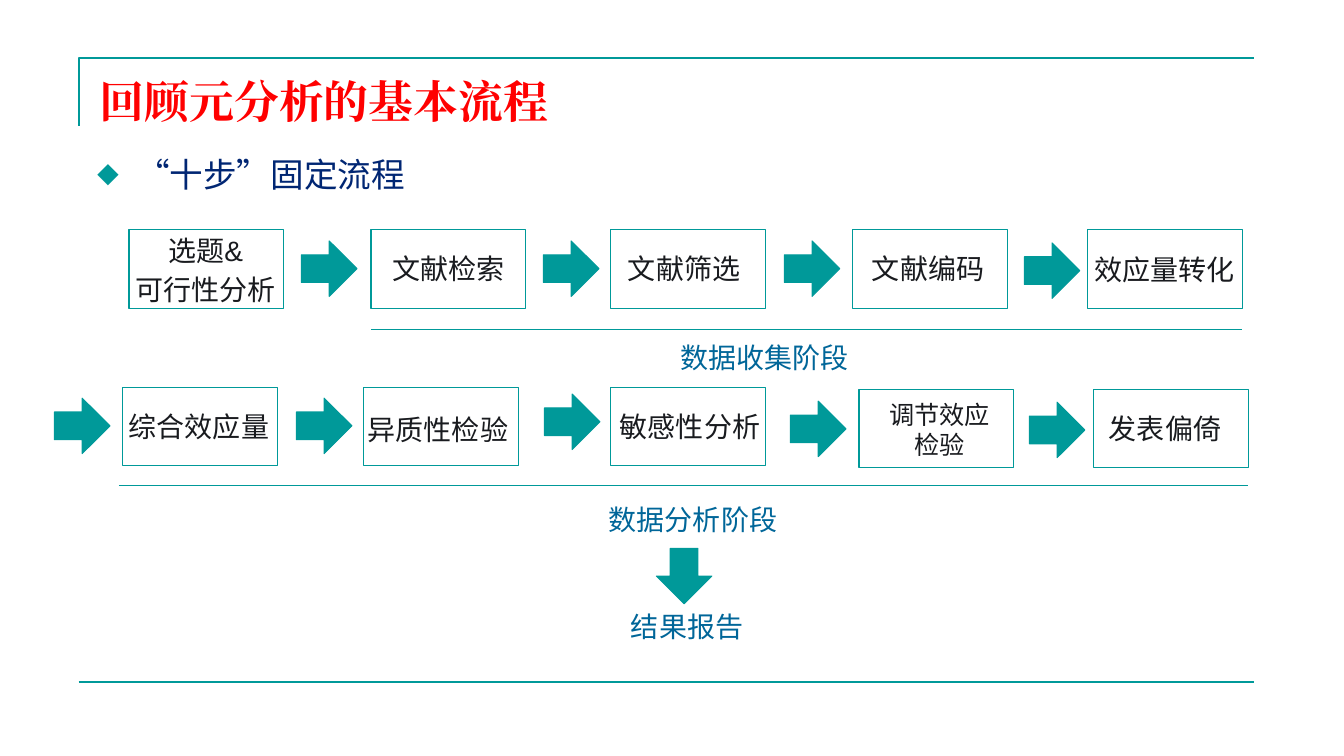
from dataclasses import dataclass

from lxml import etree
from pptx import Presentation
from pptx.dml.color import RGBColor
from pptx.enum.lang import MSO_LANGUAGE_ID as Lang
from pptx.enum.shapes import MSO_CONNECTOR as Conn, MSO_SHAPE as Geo
from pptx.enum.text import MSO_ANCHOR as Anchor, MSO_AUTO_SIZE as Fit, PP_ALIGN as Align
from pptx.oxml.ns import qn
from pptx.util import Pt

PX = 9144  # 100 px to the inch
BOX_W, BOX_H, ARROW = 153, 78, 55


@dataclass(frozen=True)
class Theme:
    teal: str = "009999"
    red: str = "FF0000"
    navy: str = "002673"
    blue: str = "006699"
    ink: str = "191B1F"
    serif: str = "Times New Roman"
    sans: str = "Arial"
    stage: str = "Vollkorn"
    cjk: str = "Noto Sans CJK SC"
    title: int = 32
    lead: int = 24
    step: int = 20
    small: int = 18
    rule: float = 1.5
    thin: float = 0.75


T = Theme()

# Each step: text, box (left, top), label (left, top, width, height)
COLLECTION = [
    ("选题&\n可行性分析", (128, 228), (124, 227, 160, 84)),
    ("文献检索", (368, 228), (379, 245, 135, 44)),
    ("文献筛选", (606, 228), (613, 245, 132, 44)),
    ("文献编码", (846, 228), (855, 245, 132, 44)),
    ("效应量转化", (1079, 228), (1076, 246, 160, 44)),
]
ANALYSIS = [
    ("综合效应量", (122, 384), (118, 401, 160, 44)),
    ("异质性检验", (361, 384), (355, 404, 160, 44)),
    ("敏感性分析", (606, 384), (605, 401, 166, 44)),
    ("调节效应检验", (852, 386), (860, 391, 144, 71)),
    ("发表偏倚", (1085, 386), (1090, 403, 132, 44)),
]
ARROWS = [
    (299, 239), (539, 239), (778, 239), (1016, 241),
    (54, 395), (294, 395), (540, 391), (784, 398), (1021, 399),
]
STAGES = [
    ("数据收集阶段", (665, 333, 188, 44)),
    ("数据分析阶段", (594, 494, 188, 44)),
    ("结果报告", (616, 600, 132, 44)),
]


def px(*values):
    return [v * PX for v in values]


def rgb(color):
    return RGBColor.from_string(color)


def write(tf, text, size, color, font, east=None, bold=False, align=Align.LEFT):
    """Fill a text frame, one paragraph for each line of text."""
    for i, line in enumerate(text.split("\n")):
        p = tf.paragraphs[0] if i == 0 else tf.add_paragraph()
        p.alignment = align
        p.space_before = Pt(size * 0.2 if i else 0)
        r = p.add_run()
        r.text = line
        f = r.font
        f.size, f.bold, f.name = Pt(size), bold, font
        f.color.rgb = rgb(color)
        f.language_id = Lang.SIMPLIFIED_CHINESE
        ea = etree.SubElement(r._r.rPr, qn("a:ea"))
        ea.set("typeface", east or font)


def place(sp, left, top, width, height):
    sp.left, sp.top, sp.width, sp.height = px(left, top, width, height)


def add_label(slide, text, at, wrap=False, **fmt):
    tf = slide.shapes.add_textbox(*px(*at)).text_frame
    tf.word_wrap = wrap
    tf.auto_size = Fit.SHAPE_TO_FIT_TEXT
    write(tf, text, **fmt)


def outline(sp, width):
    sp.line.color.rgb = rgb(T.teal)
    sp.line.width = Pt(width)


def add_line(slide, x1, x2, y, width):
    line = slide.shapes.add_connector(Conn.STRAIGHT, *px(x1, y, x2, y))
    outline(line, width)
    etree.SubElement(line._element.spPr, qn("a:effectLst"))


def add_arrow(slide, left, top, rotation=0):
    sp = slide.shapes.add_shape(Geo.RIGHT_ARROW, *px(left, top, ARROW, ARROW))
    sp.rotation = rotation
    sp.shadow.inherit = False
    sp.fill.solid()
    sp.fill.fore_color.rgb = rgb(T.teal)
    outline(sp, T.thin)


def add_step(slide, text, box, label):
    sp = slide.shapes.add_shape(Geo.RECTANGLE, *px(*box, BOX_W, BOX_H))
    sp.shadow.inherit = False
    sp.fill.background()
    outline(sp, T.thin)
    wrap = len(text) == 6 and "\n" not in text
    centred = wrap or "\n" in text
    add_label(slide, text, label, wrap=wrap, size=T.small if wrap else T.step,
              color=T.ink, font=T.sans, align=Align.CENTER if centred else Align.LEFT)


def add_frame(slide):
    corner = slide.shapes.build_freeform(*px(78, 125))
    corner.add_line_segments([px(78, 58), px(1244, 58)], close=False)
    sp = corner.convert_to_shape()
    sp.shadow.inherit = False
    sp.fill.background()
    outline(sp, T.rule)
    add_line(slide, 78, 1244, 677, T.rule)


def add_bullet(p, indent):
    pPr = p._p.get_or_add_pPr()
    pPr.set("marL", str(indent * PX))
    pPr.set("indent", str(-indent * PX))
    color = etree.SubElement(pPr, qn("a:buClr"))
    etree.SubElement(color, qn("a:srgbClr")).set("val", T.teal)
    etree.SubElement(pPr, qn("a:buSzPct")).set("val", "65000")
    etree.SubElement(pPr, qn("a:buFont")).set("typeface", T.cjk)
    etree.SubElement(pPr, qn("a:buChar")).set("char", "◆")


def add_heading(slide):
    title, body = slide.placeholders
    place(title, 89, 67, 1156, 65)
    title.text_frame.vertical_anchor = Anchor.MIDDLE
    write(title.text_frame, "回顾元分析的基本流程", size=T.title, color=T.red,
          font=T.serif, bold=True)
    place(body, 87, 148, 1144, 113)
    add_bullet(body.text_frame.paragraphs[0], 38)
    write(body.text_frame, "“十步”固定流程", size=T.lead, color=T.navy,
          font=T.serif, east=T.cjk)


def main():
    prs = Presentation()
    prs.slide_width, prs.slide_height = px(1333, 750)
    slide = prs.slides.add_slide(prs.slide_layouts[1])

    # Frame and headings
    add_frame(slide)
    add_heading(slide)

    # Ten steps and the arrows between them
    for step in COLLECTION + ANALYSIS:
        add_step(slide, *step)
    for arrow in ARROWS:
        add_arrow(slide, *arrow)

    # Stages, each under its line, leading down to the report
    add_line(slide, 368, 1232, 327, T.thin)
    add_line(slide, 118, 1238, 482, T.thin)
    for text, at in STAGES:
        add_label(slide, text, at, size=T.step, color=T.blue, font=T.stage)
    add_arrow(slide, 651, 544, rotation=90)

    prs.save("out.pptx")


if __name__ == "__main__":
    main()
